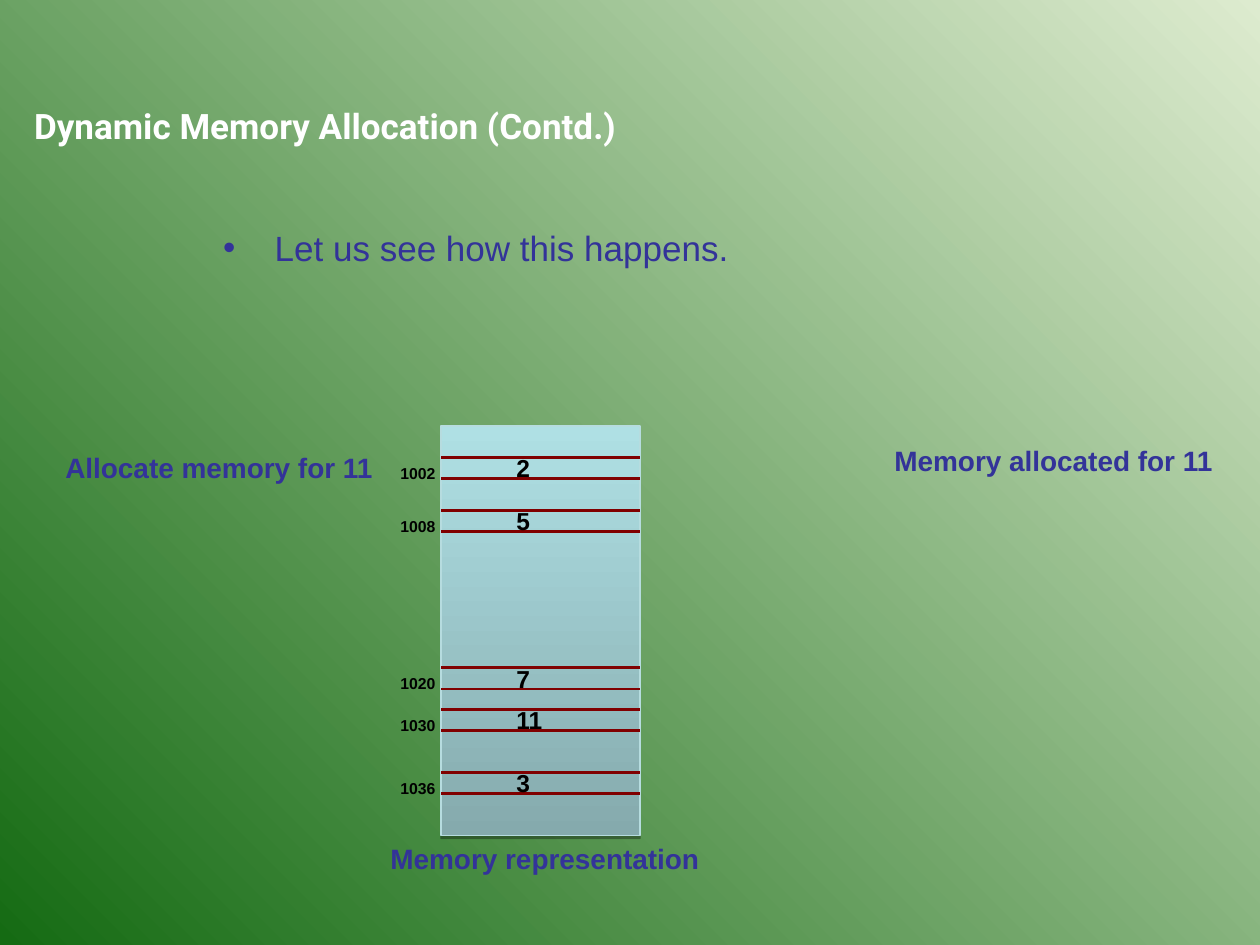
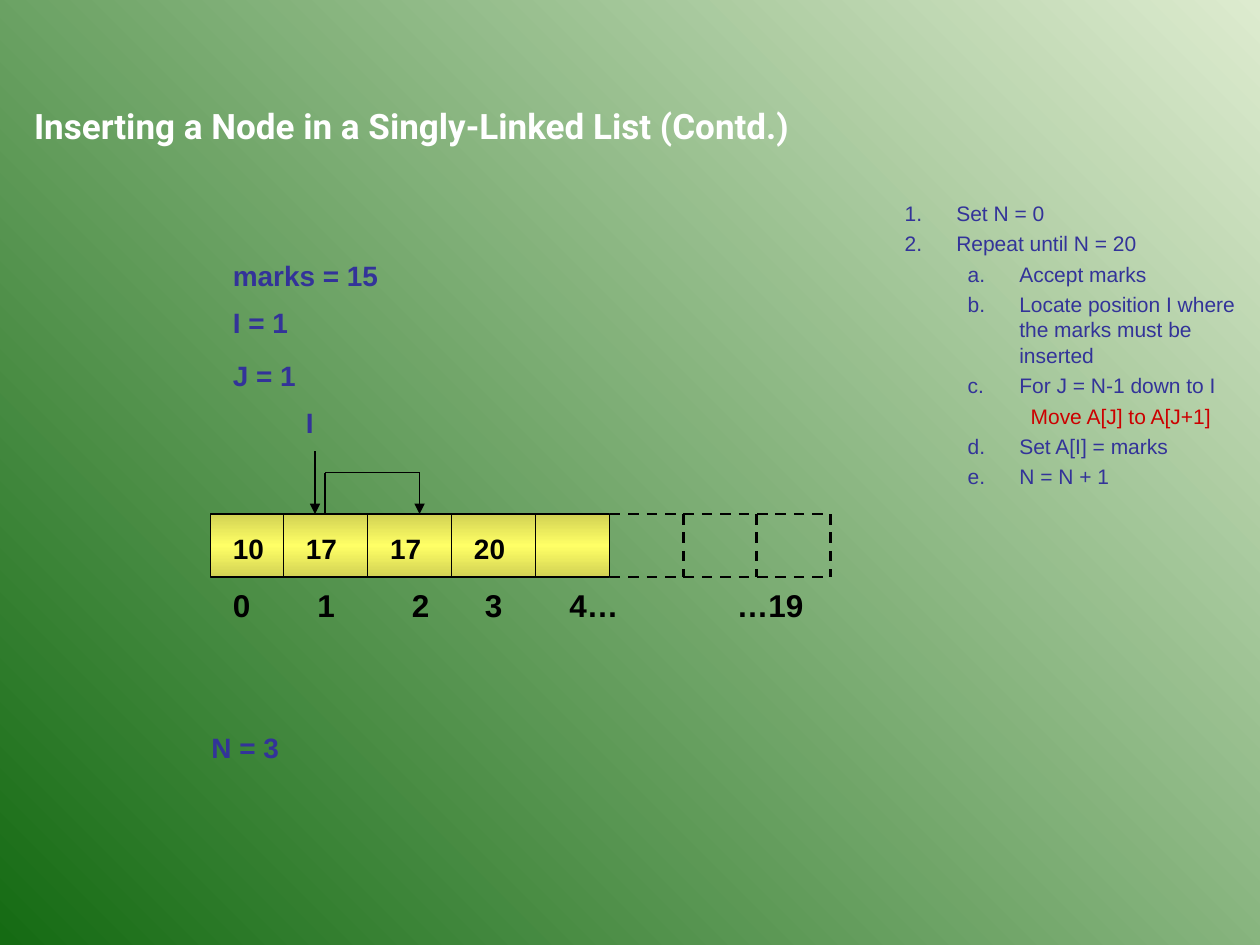
from dataclasses import dataclass

from pptx import Presentation
from pptx.dml.color import RGBColor
from pptx.enum import dml, shapes, text
from pptx.oxml.ns import qn
from pptx.util import Inches, Pt
from copy import deepcopy
from lxml import etree


@dataclass(frozen=True)
class Theme:
    """Colours, fonts and type sizes shared by the slides."""
    title_font: str = "Roboto"
    font: str = "Arial"
    white: str = "FFFFFF"
    black: str = "000000"
    indigo: str = "333399"
    red: str = "CC0000"
    maroon: str = "800000"
    block_edge: str = "B6DCDF"
    background: tuple = ("DDEBCF", "156B13")
    block: tuple = ("85AAAD", "AFE0E4")
    cells: tuple = ("D2D254", "FFFF66", "D2D254")
    title_size: int = 20
    index_size: int = 18
    label_size: int = 16
    value_size: int = 14
    step_size: int = 12
    address_size: int = 9


THEME = Theme()


def rgb(value):
    """Turn a hexadecimal string into a colour."""
    return RGBColor.from_string(value)


def place(shape, box):
    """Move a shape to a box given in inches."""
    shape.left, shape.top, shape.width, shape.height = map(Inches, box)


def child(parent, tag, **attributes):
    """Append a drawing element to its parent."""
    return etree.SubElement(parent, qn(tag), attributes)


def paint_gradient(fill, owner, colors, angle):
    """Spread the colours evenly along a linear gradient."""
    fill.gradient()
    fill.gradient_angle = angle
    stop_list = owner.xpath(".//a:gsLst")[0]
    for _ in colors[2:]:
        stop_list.append(deepcopy(stop_list[-1]))
    for number, (stop, color) in enumerate(zip(fill.gradient_stops, colors)):
        stop.color.rgb = rgb(color)
        stop.position = number / (len(colors) - 1)


def style_runs(paragraph, size, color, bold=False, font=THEME.font):
    """Format every run of a paragraph."""
    for run in paragraph.runs:
        run.font.name = font
        run.font.size = Pt(size)
        run.font.bold = bold
        run.font.color.rgb = rgb(color)


def prepare_frame(frame):
    """Make a text frame wrap, start at the top and keep its size."""
    frame.word_wrap = True
    frame.auto_size = text.MSO_AUTO_SIZE.NONE
    frame.vertical_anchor = text.MSO_ANCHOR.TOP


def add_label(slide, wording, box, size=THEME.label_size, color=THEME.indigo):
    """Add a bold one-line label."""
    label = slide.shapes.add_textbox(*map(Inches, box))
    prepare_frame(label.text_frame)
    label.text_frame.text = wording
    style_runs(label.text_frame.paragraphs[0], size, color, bold=True)


def add_line(slide, start, end, color=THEME.black, width=0.75, dashed=False, arrow=False):
    """Add a straight line, dashed or with an arrowhead if asked."""
    line = slide.shapes.add_connector(
        shapes.MSO_CONNECTOR.STRAIGHT, *map(Inches, (*start, *end)))
    line.line.color.rgb = rgb(color)
    line.line.width = Pt(width)
    if dashed:
        line.line.dash_style = dml.MSO_LINE.DASH
    if arrow:
        child(line.line._get_or_add_ln(), "a:tailEnd", type="triangle")
    child(line._element.spPr, "a:effectLst")


def add_rectangle(slide, box, colors, angle, edge):
    """Add a gradient rectangle with a thin outline."""
    rectangle = slide.shapes.add_shape(shapes.MSO_SHAPE.RECTANGLE, *map(Inches, box))
    rectangle.shadow.inherit = False
    paint_gradient(rectangle.fill, rectangle._element, colors, angle)
    rectangle.line.color.rgb = rgb(edge)
    rectangle.line.width = Pt(0.75)
    return rectangle


def add_titled_slide(presentation, title):
    """Add a slide with the shared title style."""
    slide = presentation.slides.add_slide(presentation.slide_layouts[1])
    place(slide.shapes.title, (0.17, 0.78, 7.5, 0.44))
    frame = slide.shapes.title.text_frame
    prepare_frame(frame)
    frame.text = title
    frame.paragraphs[0].alignment = text.PP_ALIGN.LEFT
    style_runs(frame.paragraphs[0], THEME.title_size, THEME.white, True, THEME.title_font)
    return slide


def fill_list(slide, box, items, size, gap):
    """Fill the body with (wording, level, indent, marker, value, colour) items."""
    body = slide.placeholders[1]
    place(body, box)
    frame = body.text_frame
    prepare_frame(frame)
    frame.text = "\n".join(item[0] for item in items)
    for number, (paragraph, item) in enumerate(zip(frame.paragraphs, items)):
        _, level, indent, marker, value, color = item
        paragraph.level = level
        properties = paragraph._p.get_or_add_pPr()
        properties.set("marL", str(Inches(indent)))
        properties.set("indent", str(Inches(-0.41)))
        child(child(properties, "a:buClr"), "a:srgbClr", val=THEME.indigo)
        child(properties, marker, **value)
        paragraph.space_before = Pt(gap if number else 0)
        style_runs(paragraph, size, color)


def draw_memory(slide, box):
    """Draw the memory block with its occupied cells and addresses."""
    left, top, width, height = box
    block = add_rectangle(slide, box, THEME.block, 90, THEME.block_edge)
    effects = block._element.spPr.find(qn("a:effectLst"))
    shadow = child(effects, "a:outerShdw", blurRad="0", dist=str(Pt(1.8)),
                   dir="5400000", rotWithShape="0")
    child(child(shadow, "a:srgbClr", val=THEME.black), "a:alpha", val="35000")
    occupied = (("1002", "2", 0.25), ("1008", "5", 0.67), ("1020", "7", 1.92),
                ("1030", "11", 2.25), ("1036", "3", 2.75))
    for address, value, offset in occupied:
        cell_top = top + offset
        for y in (cell_top, cell_top + 0.17):
            add_line(slide, (left, y), (left + width, y), THEME.maroon, 1.5)
        add_label(slide, value, (left + 0.5, cell_top - 0.08, 0.5, 0.34),
                  THEME.value_size, THEME.black)
        add_label(slide, address, (left - 0.42, cell_top, 1.17, 0.25),
                  THEME.address_size, THEME.black)
    add_label(slide, "Memory representation", (left - 0.5, top + height, 3.25, 0.37))


def draw_array(slide, box):
    """Draw the filled cells, the free dashed cells and their indexes."""
    left, top, width, height = box
    bottom = top + height
    add_rectangle(slide, box, THEME.cells, 270, THEME.black)
    edges = [left] + [left + 0.58 + step * 2 / 3 for step in range(4)]
    for x in edges[1:]:
        add_line(slide, (x, top), (x, bottom))
    for x, value in zip(edges, ("10", "17", "17", "20")):
        add_label(slide, value, (x + 0.08, top + 0.09, 0.55, 0.37), color=THEME.black)
    free_left, free_width = left + width, 1.75
    for y in (top, bottom):
        add_line(slide, (free_left, y), (free_left + free_width, y), width=1.5, dashed=True)
    for step in (1, 2, 3):
        x = free_left + free_width * step / 3
        add_line(slide, (x, top), (x, bottom), width=1.5, dashed=True)
    indexes = (("0", 0.08), ("1", 0.75), ("2", 1.5), ("3", 2.08), ("4…", 2.75), ("…19", 4.08))
    for index, offset in indexes:
        add_label(slide, index, (left + offset, bottom + 0.02, 0.8, 0.4),
                  THEME.index_size, THEME.black)


def draw_move(slide, box):
    """Draw the I pointer and the arrow that shifts a value one cell right."""
    left, top, width, height = box
    right, bottom = left + width, top + height
    add_line(slide, (left, bottom), (left, top))
    add_line(slide, (left, top), (right, top))
    add_line(slide, (right, top), (right, bottom), arrow=True)
    add_line(slide, (left - 0.08, top - 0.17), (left - 0.08, bottom), arrow=True)
    add_label(slide, "I", (left - 0.25, top - 0.58, 0.58, 0.37))


def build_allocation_slide(presentation):
    """Build the slide on allocating memory."""
    slide = add_titled_slide(presentation, "Dynamic Memory Allocation (Contd.)")
    bullet = ("Let us see how this happens.", 0, 0.41, "a:buChar", {"char": "•"}, THEME.indigo)
    fill_list(slide, (1.67, 1.75, 8, 1), [bullet], THEME.title_size, 5)
    draw_memory(slide, (3.5, 3.38, 1.58, 3.25))
    add_label(slide, "Allocate memory for 11", (0.42, 3.53, 2.75, 0.37))
    add_label(slide, "Memory allocated for 11", (7, 3.47, 2.75, 0.37))


def build_insertion_slide(presentation):
    """Build the slide on inserting a value in a sorted array."""
    slide = add_titled_slide(presentation, "Inserting a Node in a Singly-Linked List (Contd.)")
    main = (1, 1.41, "a:buAutoNum", {"type": "arabicPeriod"}, THEME.indigo)
    sub = (2, 1.91, "a:buAutoNum", {"type": "alphaLcPeriod"}, THEME.indigo)
    action = (3, 2.41, "a:buNone", {}, THEME.red)
    steps = [
        ("Set N = 0", *main),
        ("Repeat until N = 20", *main),
        ("Accept marks", *sub),
        ("Locate position I where the marks must be inserted", *sub),
        ("For J = N-1 down to I", *sub),
        ("Move A[J] to A[J+1]", *action),
        ("Set A[I] = marks", *sub),
        ("N = N + 1", *sub),
    ]
    fill_list(slide, (6.08, 1.54, 3.92, 2.88), steps, THEME.step_size, 3)
    draw_array(slide, (1.67, 4.08, 3.17, 0.5))
    draw_move(slide, (2.58, 3.75, 0.75, 0.33))
    for variable, top in (("marks = 15", 2), ("I = 1", 2.38), ("J = 1", 2.8)):
        add_label(slide, variable, (1.75, top, 2, 0.37))
    add_label(slide, "N = 3", (1.58, 5.75, 0.85, 0.37))


def main():
    """Build and save the presentation."""
    presentation = Presentation()
    presentation.slide_width, presentation.slide_height = Inches(10), Inches(7.5)
    master = presentation.slide_master
    paint_gradient(master.background.fill, master.element, THEME.background, 225)
    build_allocation_slide(presentation)
    build_insertion_slide(presentation)
    presentation.save("out.pptx")


if __name__ == "__main__":
    main()
